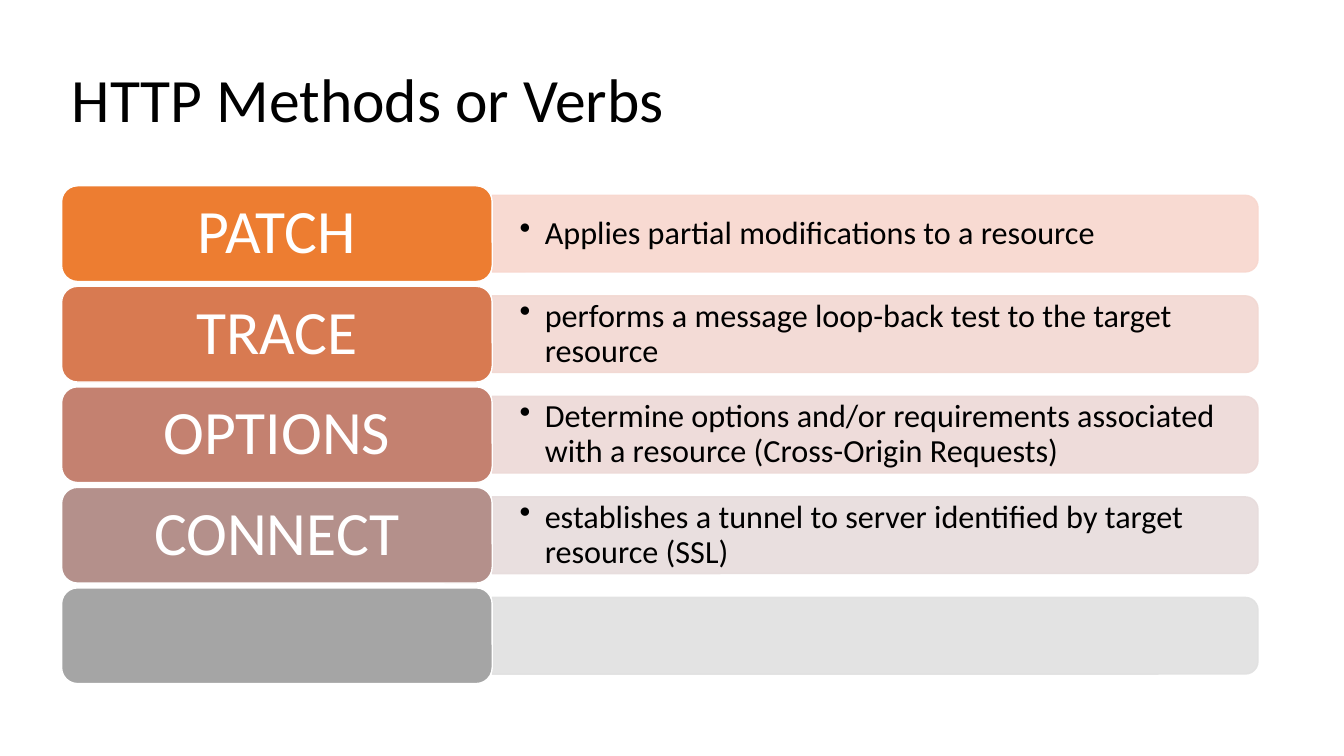
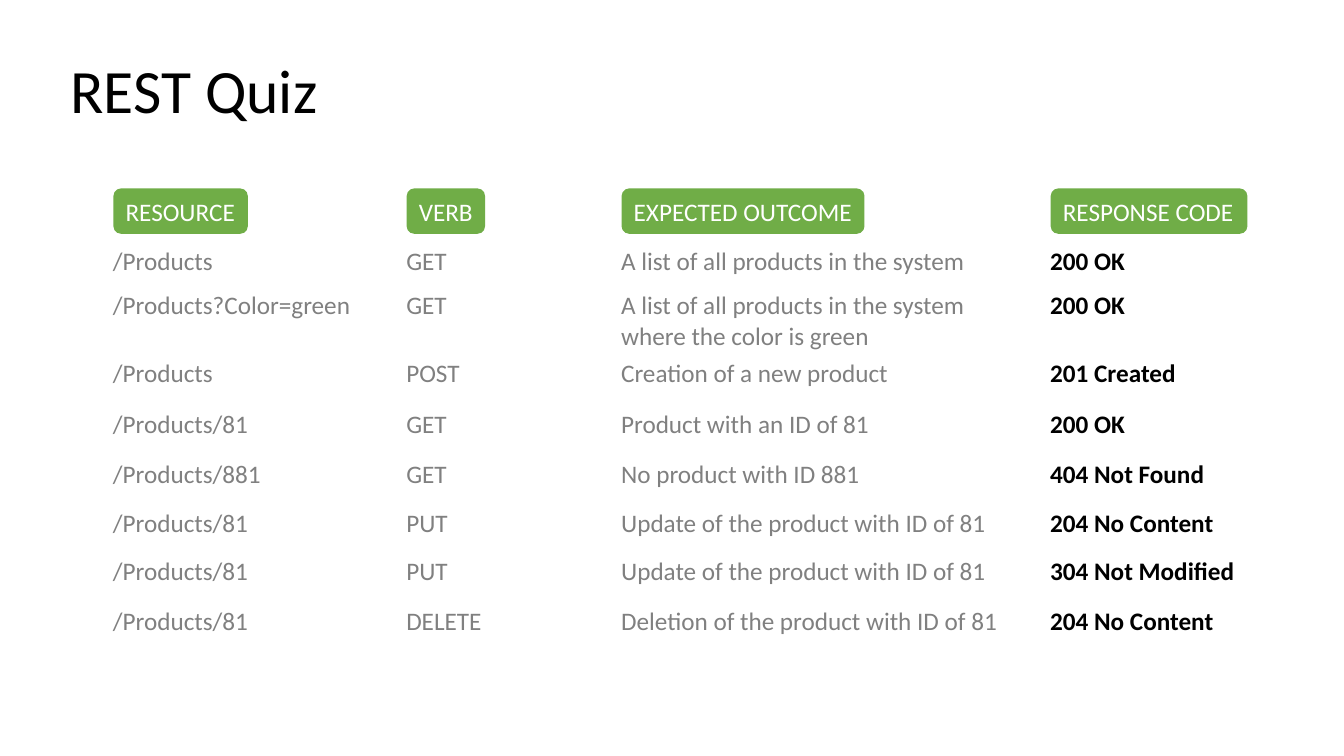
import dataclasses

import lxml.etree
import pptx
import pptx.dml.color
import pptx.enum.shapes
import pptx.enum.text
import pptx.oxml.ns
import pptx.util

Pt = pptx.util.Pt
qn = pptx.oxml.ns.qn
SHAPE = pptx.enum.shapes.MSO_SHAPE
ALIGN = pptx.enum.text.PP_ALIGN
ANCHOR = pptx.enum.text.MSO_ANCHOR


@dataclasses.dataclass(frozen=True)
class Theme:
    font: str = "Calibri"
    ink: str = "000000"
    muted: str = "808080"
    white: str = "FFFFFF"
    green: str = "70AD47"
    title_size: float = 44
    label_size: float = 44
    bullet_size: float = 23
    table_size: float = 18
    spacing: float = 0.9


THEME = Theme()

# Method, description, label colour, bar colour
METHODS = [
    ("PATCH", "Applies partial modifications to a resource", "ED7D31", "F8D7CE"),
    ("TRACE", "performs a message loop-back test to the target resource",
     "D87A51", "F2D8D2"),
    ("OPTIONS", "Determine options and/or requirements associated with a resource "
     "(Cross-Origin Requests)", "C48170", "EDD9D7"),
    ("CONNECT", "establishes a tunnel to server identified by target resource (SSL)",
     "B4908B", "E7DCDC"),
    ("", "", "A5A5A5", "E1E1E1"),
]

# Heading, tag width, column width
COLUMNS = [
    ("RESOURCE", 96, 209.5),
    ("VERB", 56, 153.5),
    ("EXPECTED OUTCOME", 173.5, 306.5),
    ("RESPONSE CODE", 140.5, 169),
]

# Row height, then the cells
QUIZ = [
    (31, "/Products", "GET", "A list of all products in the system", "200 OK"),
    (49, "/Products?Color=green", "GET",
     "A list of all products in the system where the color is green", "200 OK"),
    (36, "/Products", "POST", "Creation of a new product", "201 Created"),
    (36, "/Products/81", "GET", "Product with an ID of 81", "200 OK"),
    (35, "/Products/881", "GET", "No product with ID 881", "404 Not Found"),
    (34.5, "/Products/81", "PUT", "Update of the product with ID of 81",
     "204 No Content"),
    (35.5, "/Products/81", "PUT", "Update of the product with ID of 81",
     "304 Not Modified"),
    (30, "/Products/81", "DELETE", "Deletion of the product with ID of 81",
     "204 No Content"),
]


def rgb(color):
    return pptx.dml.color.RGBColor.from_string(color)


def write(tf, text, size, color, align=ALIGN.LEFT, bold=False, spacing=None):
    p = tf.paragraphs[0]
    p.text = text
    p.alignment = align
    p.line_spacing = spacing
    p.font.name = THEME.font
    p.font.size = Pt(size)
    p.font.bold = bold
    p.font.color.rgb = rgb(color)
    return p


def add_titled_slide(prs, title, left, top):
    s = prs.slides.add_slide(prs.slide_layouts[5])
    sp = s.shapes.title
    sp.left, sp.top, sp.width, sp.height = Pt(left), Pt(top), Pt(864), Pt(90)
    sp.text_frame.vertical_anchor = ANCHOR.MIDDLE
    write(sp.text_frame, title, THEME.title_size, THEME.ink, spacing=THEME.spacing)
    return s


def add_box(s, kind, left, top, width, height, fill, line=None):
    sp = s.shapes.add_shape(kind, Pt(left), Pt(top), Pt(width), Pt(height))
    sp.shadow.inherit = False
    sp.fill.solid()
    sp.fill.fore_color.rgb = rgb(fill)
    if line:
        sp.line.color.rgb = rgb(line)
        sp.line.width = Pt(1)
    else:
        sp.line.fill.background()
    return sp


def add_bar(s, left, top, width, height, color):
    """Bar with rounded right corners: an upright shape turned a quarter."""
    sp = add_box(s, SHAPE.ROUND_2_SAME_RECTANGLE, left + (width - height) / 2,
                 top + (height - width) / 2, height, width, color, color)
    sp.rotation = 90
    for clr in sp.element.spPr.iter(qn("a:srgbClr")):
        lxml.etree.SubElement(clr, qn("a:alpha"), val="90000")


def add_bullet(s, left, top, width, height, text):
    tf = s.shapes.add_textbox(Pt(left), Pt(top), Pt(width), Pt(height)).text_frame
    tf.word_wrap = True
    tf.vertical_anchor = ANCHOR.MIDDLE
    tf.margin_left = tf.margin_right = Pt(19.5)
    tf.margin_top = tf.margin_bottom = 0
    p = write(tf, text, THEME.bullet_size, THEME.ink, spacing=THEME.spacing)
    pPr = p._p.get_or_add_pPr()
    pPr.set("marL", str(Pt(18)))
    pPr.set("indent", str(-Pt(18)))
    bullet = lxml.etree.Element(qn("a:buChar"), char="•")
    pPr.find(qn("a:defRPr")).addprevious(bullet)


def add_label(s, left, top, width, height, text, color):
    sp = add_box(s, SHAPE.ROUNDED_RECTANGLE, left, top, width, height,
                 color, THEME.white)
    if text:
        sp.text_frame.vertical_anchor = ANCHOR.MIDDLE
        write(sp.text_frame, text, THEME.label_size, THEME.white, ALIGN.CENTER,
              spacing=THEME.spacing)


def add_tag(s, left, top, width, text):
    sp = add_box(s, SHAPE.ROUNDED_RECTANGLE, left, top, width, 32.4, THEME.green)
    sp.text_frame.word_wrap = False
    sp.text_frame.vertical_anchor = ANCHOR.MIDDLE
    write(sp.text_frame, text, THEME.table_size, THEME.white)


def add_quiz_table(s, left, top):
    widths = [width for _, _, width in COLUMNS]
    heights = [height for height, *_ in QUIZ]
    table = s.shapes.add_table(len(QUIZ), len(COLUMNS), Pt(left), Pt(top),
                               Pt(sum(widths)), Pt(sum(heights))).table
    table.first_row = table.horz_banding = False
    for column, width in zip(table.columns, widths):
        column.width = Pt(width)
    for row, (height, *texts) in zip(table.rows, QUIZ):
        row.height = Pt(height)
        for i, (cell, text) in enumerate(zip(row.cells, texts)):
            cell.fill.background()
            cell.margin_right = Pt(20)
            cell.margin_bottom = 0
            is_code = i == len(COLUMNS) - 1
            write(cell.text_frame, text, THEME.table_size,
                  THEME.ink if is_code else THEME.muted, bold=is_code)


def build_methods(prs):
    s = add_titled_slide(prs, "HTTP Methods or Verbs", 44, 28)
    left, first_top, pitch = 44, 132.7, 71.8
    label_width, label_height = 307.6, 68.4
    bar_width, bar_height = 547, 54.8
    bar_left = left + label_width
    for i, (method, description, label_color, bar_color) in enumerate(METHODS):
        top = first_top + i * pitch
        bar_top = top + (label_height - bar_height) / 2
        add_bar(s, bar_left, bar_top, bar_width, bar_height, bar_color)
        if description:
            add_bullet(s, bar_left, bar_top, bar_width - 2.5, bar_height, description)
        add_label(s, left, top, label_width, label_height, method, label_color)


def build_quiz(prs):
    s = add_titled_slide(prs, "REST Quiz", 43.2, 21.6)
    table_left = left = 73.5
    for heading, tag_width, column_width in COLUMNS:
        add_tag(s, left + 7.5, 134.6, tag_width, heading)
        left += column_width
    add_quiz_table(s, table_left, 172.8)


def main():
    prs = pptx.Presentation()
    prs.slide_width, prs.slide_height = Pt(960), Pt(540)
    build_methods(prs)
    build_quiz(prs)
    prs.save("out.pptx")


if __name__ == "__main__":
    main()
